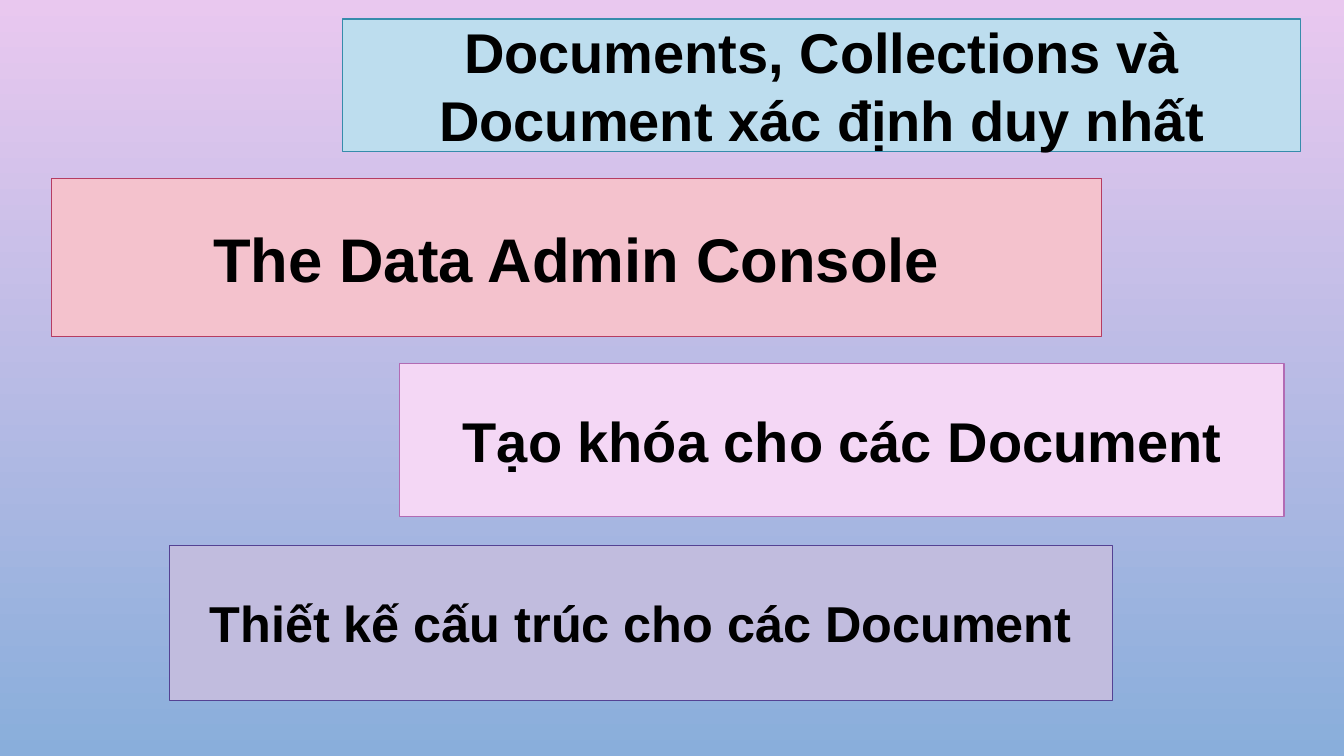
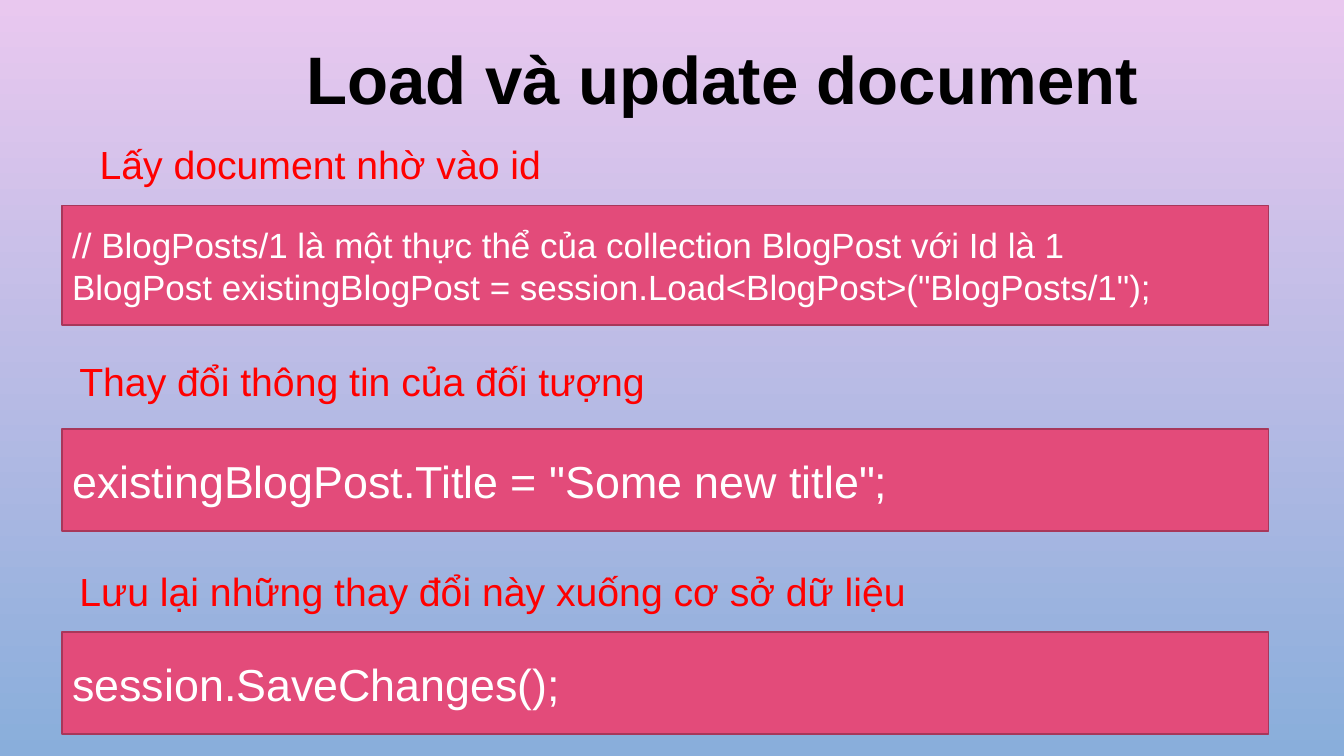
import pptx
import pptx.util
import pptx.dml.color
import pptx.enum.shapes
import pptx.enum.text

Cm, Pt = pptx.util.Cm, pptx.util.Pt
ALIGN = pptx.enum.text.PP_ALIGN
ANCHOR = pptx.enum.text.MSO_ANCHOR

FONT = "Arial"
COLORS = {
    "sky top": "E9C8EF", "sky bottom": "89AEDB",
    "text": "000000", "caption": "FF0000", "code text": "FFFFFF",
    "code fill": "E34B7A", "code line": "A8375A",
    "blue fill": "BDDDEE", "blue line": "368CAB",
    "rose fill": "F4C2CD", "rose line": "B63C62",
    "pink fill": "F4D7F5", "pink line": "B26BB4",
    "violet fill": "C1BCDE", "violet line": "544293",
}

# Text, hue, size in points, (left, top, width, height) in cm
TOPICS = [
    ("Documents, Collections và Document xác định duy nhất", "blue", 40,
     (8.64, 0.48, 24.13, 3.33)),
    ("The Data Admin Console", "rose", 44, (1.3, 4.5, 26.47, 3.99)),
    ("Tạo khóa cho các Document", "pink", 40, (10.08, 9.17, 22.28, 3.84)),
    ("Thiết kế cấu trúc cho các Document", "violet", 36,
     (4.27, 13.74, 23.77, 3.91)),
]

TITLE = "Load và update document"
# Caption, its left and top; code lines, size in points, top and height
STEPS = [
    ("Lấy document nhờ vào id", 2.26, 3.4,
     ["// BlogPosts/1 là một thực thể của collection BlogPost với Id là 1",
      'BlogPost existingBlogPost = session.Load<BlogPost>("BlogPosts/1");'],
     25, 5.18, 3.02),
    ("Thay đổi thông tin của đối tượng", 1.75, 8.89,
     ['existingBlogPost.Title = "Some new title";'], 32, 10.82, 2.57),
    ("Lưu lại những thay đổi này xuống cơ sở dữ liệu", 1.75, 14.17,
     ["session.SaveChanges();"], 32, 15.93, 2.57),
]
CODE_LEFT, CODE_WIDTH = 1.57, 30.4
CAPTION_WIDTH, CAPTION_HEIGHT = 27.5, 1.45


def rgb(name):
    return pptx.dml.color.RGBColor.from_string(COLORS[name])


def write(shape, lines, size, color, bold=False, align=ALIGN.LEFT,
          anchor=ANCHOR.MIDDLE):
    frame = shape.text_frame
    frame.word_wrap = True
    frame.auto_size = pptx.enum.text.MSO_AUTO_SIZE.NONE
    frame.vertical_anchor = anchor
    frame.text = "\n".join(lines)
    for para in frame.paragraphs:
        para.alignment = align
        para.font.name = FONT
        para.font.size = Pt(size)
        para.font.bold = bold
        para.font.color.rgb = rgb(color)


def add_box(page, place, hue, line_width):
    box = page.shapes.add_shape(pptx.enum.shapes.MSO_SHAPE.RECTANGLE,
                                *map(Cm, place))
    box.shadow.inherit = False
    box.fill.solid()
    box.fill.fore_color.rgb = rgb(f"{hue} fill")
    box.line.color.rgb = rgb(f"{hue} line")
    box.line.width = Pt(line_width)
    return box


def paint_master(deck):
    """Give every slide the same vertical gradient."""
    fill = deck.slide_master.background.fill
    fill.gradient()
    fill.gradient_angle = 270
    for stop, name in zip(fill.gradient_stops, ("sky top", "sky bottom")):
        stop.color.rgb = rgb(name)


def add_topics_page(deck):
    page = deck.slides.add_slide(deck.slide_layouts.get_by_name("Blank"))
    for text, hue, size, place in TOPICS:
        box = add_box(page, place, hue, 0.75)
        write(box, [text], size, "text", bold=True, align=ALIGN.CENTER)


def add_steps_page(deck):
    page = deck.slides.add_slide(deck.slide_layouts.get_by_name("Title Only"))
    title = page.shapes.title
    title.left, title.top, title.width, title.height = map(
        Cm, (2.26, 0.81, 30.35, 2.31))
    write(title, [TITLE], 48, "text", bold=True, align=ALIGN.CENTER,
          anchor=ANCHOR.TOP)
    title.text_frame.margin_left = Cm(1.8)

    for caption, left, top, code, size, code_top, code_height in STEPS:
        label = page.shapes.add_textbox(
            *map(Cm, (left, top, CAPTION_WIDTH, CAPTION_HEIGHT)))
        write(label, [caption], 28, "caption", anchor=ANCHOR.TOP)
        place = (CODE_LEFT, code_top, CODE_WIDTH, code_height)
        write(add_box(page, place, "code", 1.25), code, size, "code text")


def main():
    deck = pptx.Presentation()
    deck.slide_width, deck.slide_height = Cm(33.87), Cm(19.05)
    paint_master(deck)
    add_topics_page(deck)
    add_steps_page(deck)
    deck.save("out.pptx")


if __name__ == "__main__":
    main()
